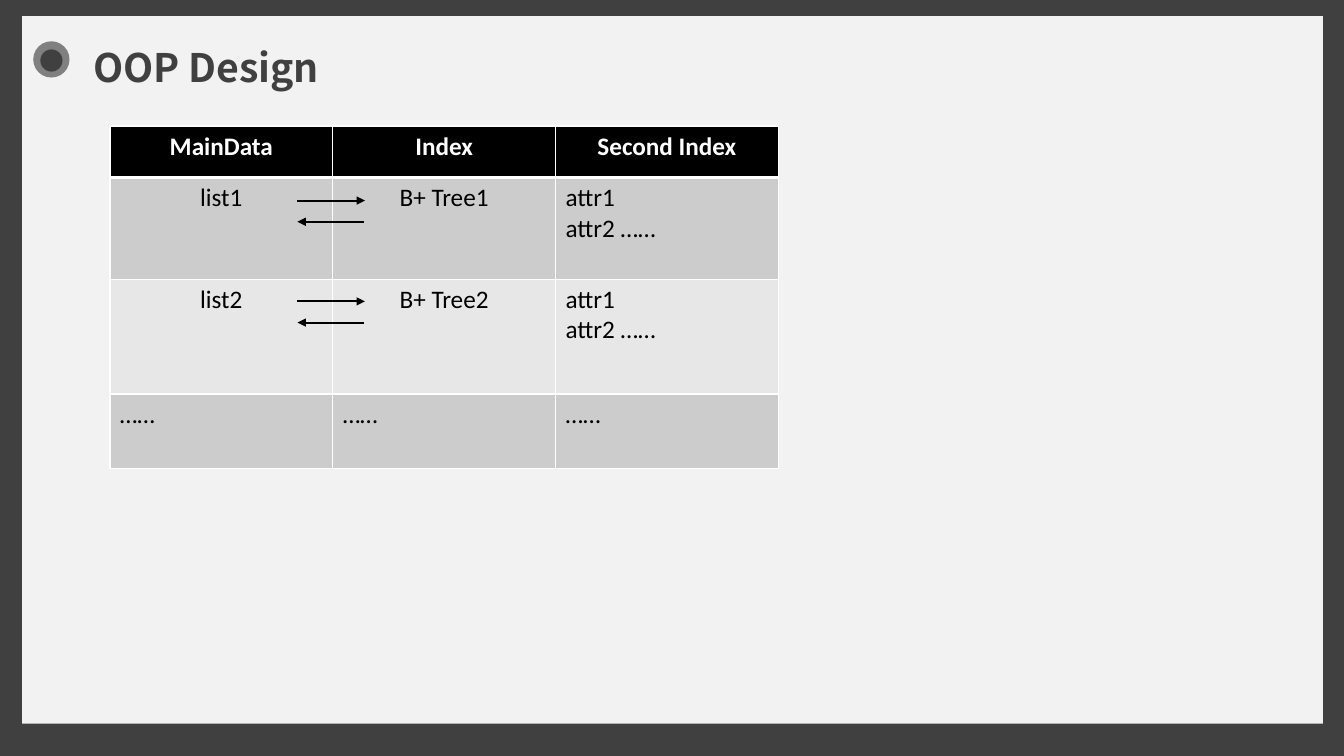
from lxml.etree import SubElement
from pptx import Presentation
from pptx.dml.color import RGBColor
from pptx.enum.shapes import MSO_CONNECTOR, MSO_SHAPE
from pptx.enum.text import MSO_ANCHOR, PP_ALIGN
from pptx.oxml.ns import qn
from pptx.util import Inches, Pt

DARK = RGBColor(0x40, 0x40, 0x40)
GRAY = RGBColor(0x80, 0x80, 0x80)
PANEL = RGBColor(0xF2, 0xF2, 0xF2)
BLACK = RGBColor(0x00, 0x00, 0x00)
WHITE = RGBColor(0xFF, 0xFF, 0xFF)
BAND_DARK = RGBColor(0xCC, 0xCC, 0xCC)
BAND_LIGHT = RGBColor(0xE7, 0xE7, 0xE7)


def add_plain_shape(kind, left, top, width, height, color=None):
    shape = slide.shapes.add_shape(
        kind, Inches(left), Inches(top), Inches(width), Inches(height))
    shape.shadow.inherit = False
    shape.line.fill.background()
    if color is None:
        shape.fill.background()
    else:
        shape.fill.solid()
        shape.fill.fore_color.rgb = color
    return shape


def add_border(cell, side, points):
    border = SubElement(cell._tc.get_or_add_tcPr(), qn(f"a:{side}"), w=str(Pt(points)))
    SubElement(SubElement(border, qn("a:solidFill")), qn("a:srgbClr"), val=str(WHITE))


prs = Presentation()
prs.slide_width = Inches(13.33)
prs.slide_height = Inches(7.5)
slide = prs.slides.add_slide(prs.slide_layouts[6])

# Dark frame around a light panel
slide.background.fill.solid()
slide.background.fill.fore_color.rgb = DARK
add_plain_shape(MSO_SHAPE.RECTANGLE, 0.22, 0.16, 12.9, 7.02, PANEL)

# Title with its round marker
add_plain_shape(MSO_SHAPE.OVAL, 0.33, 0.41, 0.36, 0.36, GRAY)
add_plain_shape(MSO_SHAPE.OVAL, 0.4, 0.49, 0.22, 0.22, DARK)
title = add_plain_shape(MSO_SHAPE.ROUNDED_RECTANGLE, 0.8, 0.41, 4.95, 0.5)
title.text_frame.vertical_anchor = MSO_ANCHOR.MIDDLE
heading = title.text_frame.paragraphs[0]
heading.text = "OOP Design"
heading.alignment = PP_ALIGN.LEFT
heading.font.name = "Noto Sans CJK SC"
heading.font.size = Pt(28)
heading.font.bold = True
heading.font.color.rgb = DARK

# Data and index table: height, fill and cell texts of each row
rows = [
    (0.51, BLACK, ["MainData", "Index", "Second Index"]),
    (1.01, BAND_DARK, ["list1", "B+ Tree1", "attr1\nattr2 ……"]),
    (1.14, BAND_LIGHT, ["list2", "B+ Tree2", "attr1\nattr2 ……"]),
    (0.74, BAND_DARK, ["……", "……", "……"]),
]
design = slide.shapes.add_table(
    len(rows), 3, Inches(1.09), Inches(1.25), Inches(6.63), Inches(3.39)).table
for column in design.columns:
    column.width = Inches(2.21)

for r, (height, fill, texts) in enumerate(rows):
    design.rows[r].height = Inches(height)
    is_header = r == 0
    for c, text in enumerate(texts):
        cell = design.cell(r, c)
        add_border(cell, "lnL", 1)
        add_border(cell, "lnR", 1)
        add_border(cell, "lnT", 3 if r == 1 else 1)
        add_border(cell, "lnB", 3 if is_header else 1)
        cell.fill.solid()
        cell.fill.fore_color.rgb = fill
        cell.text = text
        centered = is_header or (c < 2 and text != "……")
        for paragraph in cell.text_frame.paragraphs:
            paragraph.alignment = PP_ALIGN.CENTER if centered else PP_ALIGN.LEFT
            paragraph.font.name = "Calibri"
            paragraph.font.size = Pt(18)
            paragraph.font.bold = is_header
            paragraph.font.color.rgb = WHITE if is_header else BLACK

# Arrow pairs between each list and its tree
for pair_top in (1.99, 2.99):
    for start, end, y in ((2.95, 3.62, pair_top), (3.61, 2.95, pair_top + 0.21)):
        arrow = slide.shapes.add_connector(
            MSO_CONNECTOR.STRAIGHT, Inches(start), Inches(y), Inches(end), Inches(y))
        arrow.line.color.rgb = BLACK
        arrow.line.width = Pt(1.5)
        SubElement(arrow.line._get_or_add_ln(), qn("a:tailEnd"), type="triangle")
        SubElement(arrow._element.spPr, qn("a:effectLst"))

prs.save("out.pptx")
